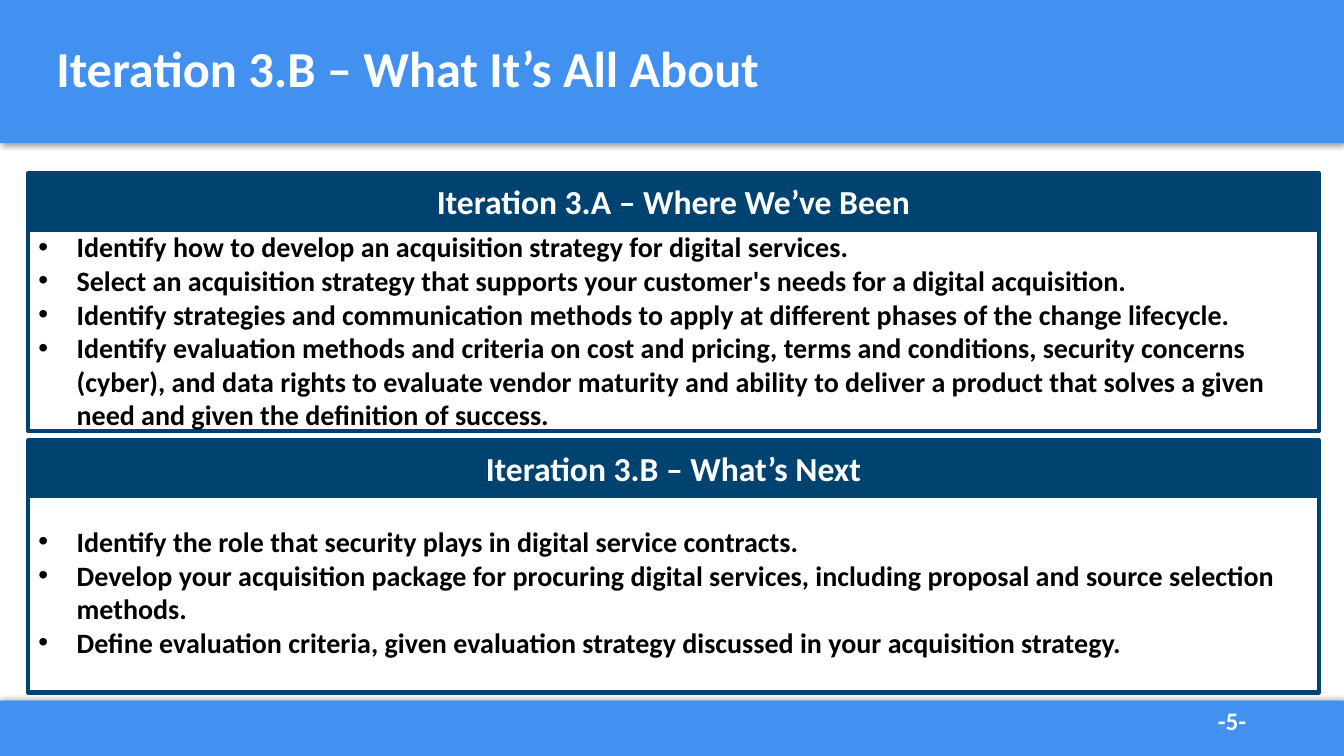
from lxml import etree
from pptx import Presentation
from pptx.dml.color import RGBColor
from pptx.enum.shapes import MSO_SHAPE
from pptx.enum.text import MSO_ANCHOR, MSO_AUTO_SIZE, PP_ALIGN
from pptx.oxml import parse_xml
from pptx.oxml.ns import qn
from pptx.util import Inches, Pt

RECT = MSO_SHAPE.RECTANGLE
MIDDLE = MSO_ANCHOR.MIDDLE
LEFT, CENTER = PP_ALIGN.LEFT, PP_ALIGN.CENTER
NO_FIT = MSO_AUTO_SIZE.NONE

BLUE = RGBColor(0x42, 0x91, 0xF0)
NAVY = RGBColor(0x00, 0x43, 0x70)
WHITE = RGBColor(0xFF, 0xFF, 0xFF)
BLACK = RGBColor(0x00, 0x00, 0x00)

FONT = "Calibri"
COMPARISON_LAYOUT = 4
PANEL_LEFT, PANEL_WIDTH = 0.28, 12.8
HEADER_HEIGHT, BODY_HEIGHT = 0.55, 2
INDENT = 0.38
SHADOW = (
    '<a:effectLst xmlns:a="http://schemas.openxmlformats.org/drawingml/2006/main">'
    '<a:outerShdw blurRad="{blur}" dist="{dist}" dir="{angle}" algn="ctr" rotWithShape="0">'
    '<a:srgbClr val="000000"><a:alpha val="40000"/></a:srgbClr>'
    '</a:outerShdw></a:effectLst>'
)

PANELS = [
    (1.72, 2.28, "Iteration 3.A – Where We’ve Been", [
        "Identify how to develop an acquisition strategy for digital services.",
        "Select an acquisition strategy that supports your customer's needs for a "
        "digital acquisition.",
        "Identify strategies and communication methods to apply at different phases "
        "of the change lifecycle.",
        "Identify evaluation methods and criteria on cost and pricing, terms and "
        "conditions, security concerns (cyber), and data rights to evaluate vendor "
        "maturity and ability to deliver a product that solves a given need and "
        "given the definition of success.",
    ]),
    (4.37, 4.87, "Iteration 3.B – What’s Next", [
        "Identify the role that security plays in digital service contracts.",
        "Develop your acquisition package for procuring digital services, including "
        "proposal and source selection methods.",
        "Define evaluation criteria, given evaluation strategy discussed in your "
        "acquisition strategy.",
    ]),
]


def place(sp, left, top, width, height):
    """Move and size a shape, in inches."""
    sp.left, sp.top = Inches(left), Inches(top)
    sp.width, sp.height = Inches(width), Inches(height)


def write(p, text, size, color, align=LEFT):
    """Add one bold run to a paragraph with tight spacing."""
    p.alignment = align
    p.space_before = p.space_after = Pt(0)
    r = p.add_run()
    r.text = text
    r.font.name, r.font.size, r.font.bold = FONT, Pt(size), True
    r.font.color.rgb = color


def add_bullet(p):
    """Give a paragraph a hanging round bullet."""
    pPr = p._p.get_or_add_pPr()
    pPr.set("marL", str(Inches(INDENT)))
    pPr.set("indent", str(-Inches(INDENT)))
    etree.SubElement(pPr, qn("a:buFont")).set("typeface", "Arial")
    etree.SubElement(pPr, qn("a:buChar")).set("char", "•")


def add_band(s, top, height, angle):
    """Add a full-width blue band whose shadow falls at the given angle."""
    sp = s.shapes.add_shape(RECT, 0, Inches(top), Inches(13.33), Inches(height))
    sp.fill.solid()
    sp.fill.fore_color.rgb = BLUE
    sp.line.fill.background()
    sp._element.spPr.append(parse_xml(
        SHADOW.format(blur=Pt(4), dist=Pt(1), angle=angle * 60000)))
    s.shapes._spTree.insert(2, sp._element)


def frame(sp, top, height):
    """Place a panel part, outline it in navy and return its text frame."""
    place(sp, PANEL_LEFT, top, PANEL_WIDTH, height)
    sp.line.color.rgb = NAVY
    sp.line.width = Pt(3)
    tf = sp.text_frame
    tf.auto_size = NO_FIT
    tf.vertical_anchor = MIDDLE
    return tf


def fill_panel(header, body, header_top, body_top, heading, items):
    """Format a header and a list placeholder as one panel."""
    tf = frame(header, header_top, HEADER_HEIGHT)
    header.fill.solid()
    header.fill.fore_color.rgb = NAVY
    write(tf.paragraphs[0], heading, 24, WHITE, CENTER)
    tf = frame(body, body_top, BODY_HEIGHT)
    for i, item in enumerate(items):
        p = tf.add_paragraph() if i else tf.paragraphs[0]
        write(p, item, 20, BLACK)
        add_bullet(p)


def add_title(s, text):
    """Fill the title placeholder."""
    sp = s.shapes.title
    place(sp, 0.46, -0.02, 12.42, 1.45)
    tf = sp.text_frame
    tf.auto_size = NO_FIT
    tf.vertical_anchor = MIDDLE
    p = tf.paragraphs[0]
    p.line_spacing = 0.9
    write(p, text, 36, WHITE)


def add_page_number(s, text):
    """Add the page number on the bottom band."""
    sp = s.shapes.add_textbox(Inches(11.98), Inches(6.95), Inches(0.98), Inches(0.4))
    sp.text_frame.word_wrap = True
    write(sp.text_frame.paragraphs[0], text, 18, WHITE)


def main():
    """Build the slide and save it."""
    prs = Presentation()
    prs.slide_width, prs.slide_height = Inches(13.33), Inches(7.5)
    s = prs.slides.add_slide(prs.slide_layouts[COMPARISON_LAYOUT])
    add_band(s, 0, 1.42, 90)
    add_band(s, 6.95, 0.55, 270)
    add_title(s, "Iteration 3.B – What It’s All About")
    parts = list(s.placeholders)[1:]
    for header, body, panel in zip(parts[::2], parts[1::2], PANELS):
        fill_panel(header, body, *panel)
    add_page_number(s, "-5-")
    prs.save("out.pptx")


if __name__ == "__main__":
    main()
